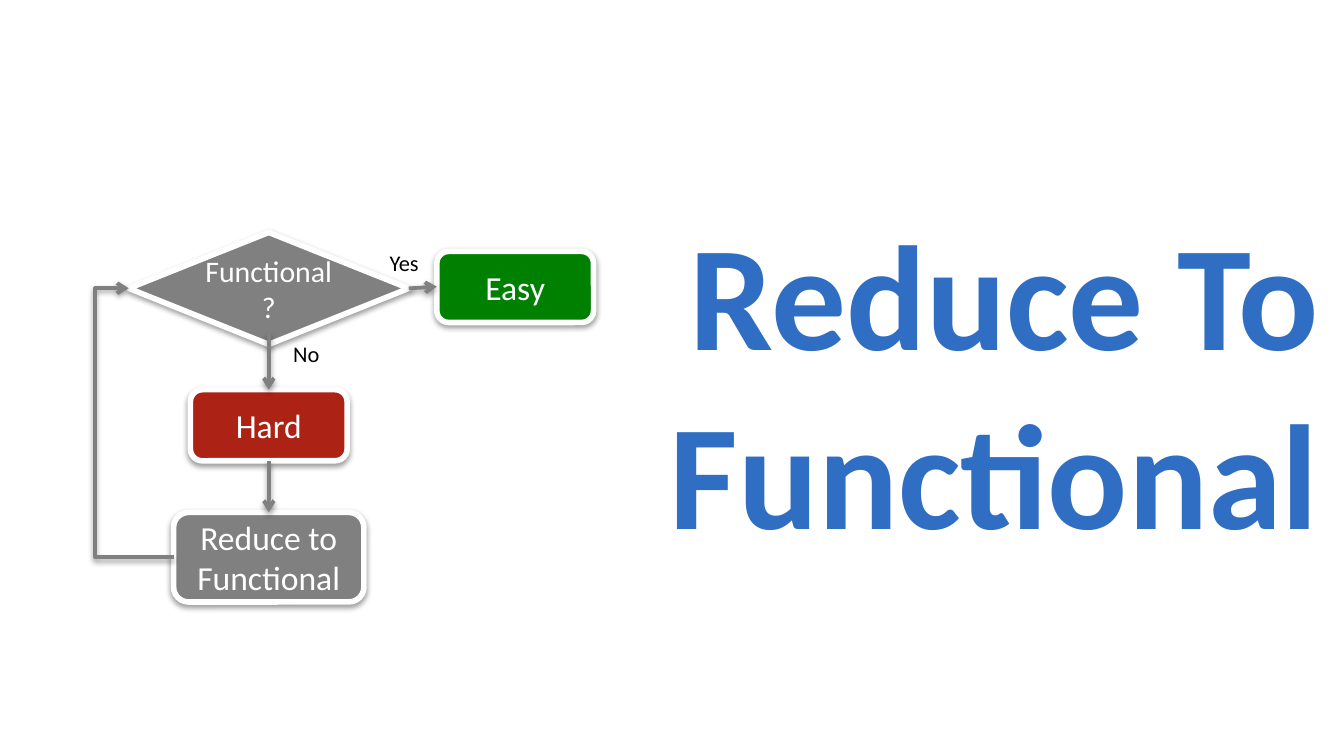
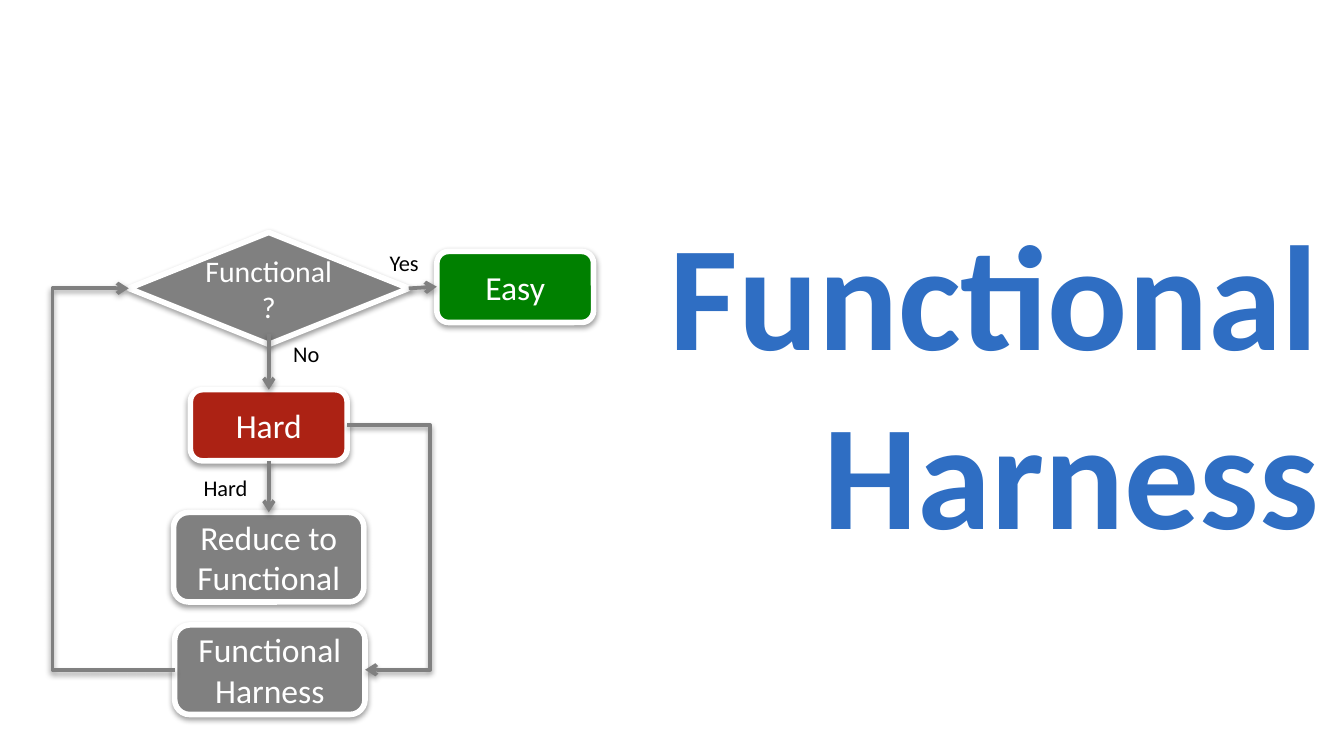
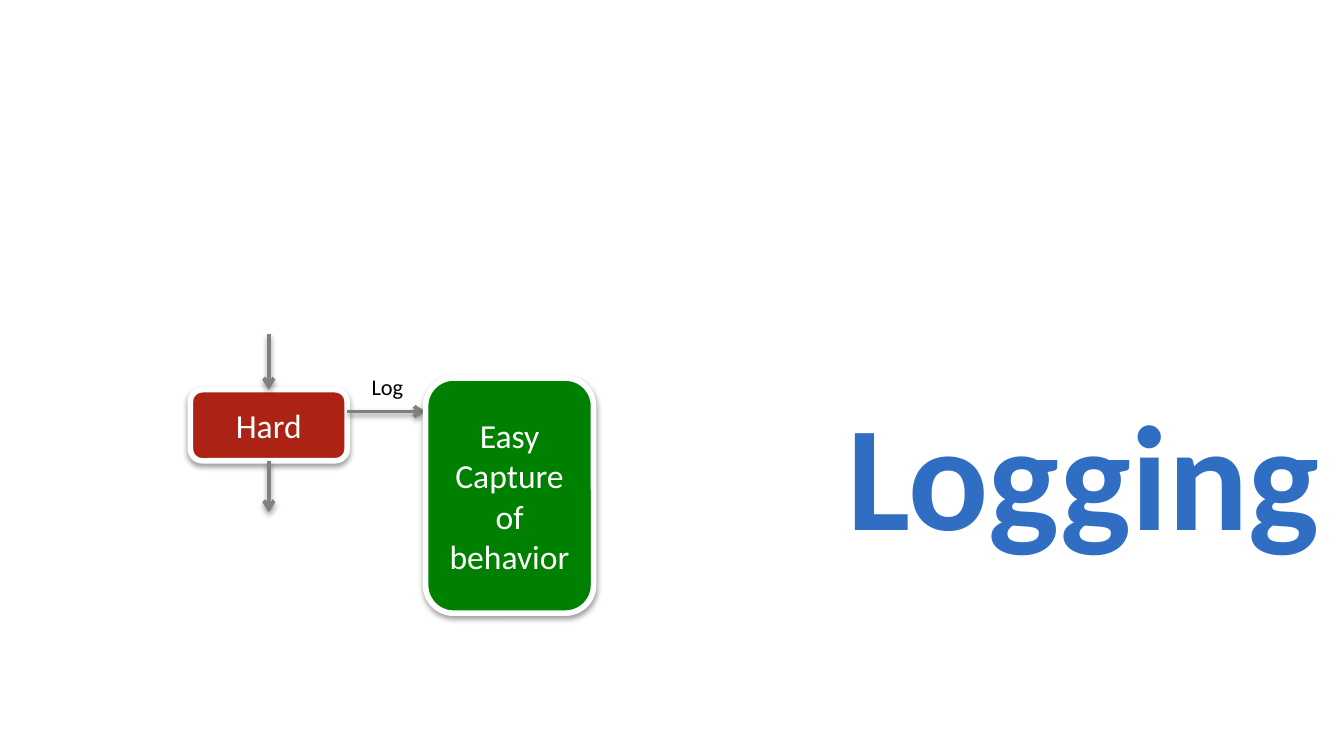
from dataclasses import dataclass

from lxml import etree
from pptx import Presentation
from pptx import util as u
from pptx.dml import color
from pptx.enum import shapes, text
from pptx.oxml import ns

COLUMNS, ROWS = 240, 135


@dataclass(frozen=True)
class Theme:
    font: str = "Calibri"
    title: str = "2F6EC3"
    neutral: str = "808080"
    easy: str = "008000"
    hard: str = "AC2214"
    light: str = "FFFFFF"
    dark: str = "000000"
    title_size: int = 80
    box_size: int = 18
    decision_size: int = 16
    label_size: int = 12
    outline: int = 3
    arrow: int = 2
    shadow_blur: float = 3.1
    shadow_distance: float = 1.6
    shadow_opacity: int = 38


def assign(target, **values):
    for name, value in values.items():
        setattr(target, name, value)


def add_element(parent, tag, **attributes):
    element = etree.SubElement(parent, ns.qn(tag))
    for name, value in attributes.items():
        element.set(name, str(value))
    return element


class Deck:
    def __init__(self, theme):
        self.theme = theme
        self.presentation = Presentation()
        assign(self.presentation, slide_width=u.Inches(10), slide_height=u.Inches(5.625))
        self.slide = None

    def column(self, count):
        return round(self.presentation.slide_width * count / COLUMNS)

    def row(self, count):
        return round(self.presentation.slide_height * count / ROWS)

    def place(self, left, top, width, height):
        return self.column(left), self.row(top), self.column(width), self.row(height)

    def add_slide(self, title, skipped_lines=0):
        self.slide = self.presentation.slides.add_slide(self.presentation.slide_layouts[6])
        shape = self.slide.shapes.add_textbox(*self.place(116, 20.2, 122, 95.3))
        line_height = u.Pt(self.theme.title_size * 1.22)
        assign(shape.text_frame, word_wrap=True,
               vertical_anchor=text.MSO_ANCHOR.MIDDLE,
               margin_top=u.Inches(0.05) + skipped_lines * line_height)
        self.set_words(shape, title, self.theme.title_size, self.theme.title,
                       text.PP_ALIGN.RIGHT, bold=True)

    def set_words(self, shape, words, size, tint, alignment, bold=False):
        shape.text_frame.text = words
        for paragraph in shape.text_frame.paragraphs:
            paragraph.alignment = alignment
            for run in paragraph.runs:
                assign(run.font, name=self.theme.font, size=u.Pt(size), bold=bold)
                run.font.color.rgb = color.RGBColor.from_string(tint)

    def outline(self, shape, tint, width):
        shape.line.color.rgb = color.RGBColor.from_string(tint)
        shape.line.width = u.Pt(width)

    def shade(self, shape):
        effects = add_element(shape.element.spPr, "a:effectLst")
        shadow = add_element(effects, "a:outerShdw",
                             blurRad=u.Pt(self.theme.shadow_blur),
                             dist=u.Pt(self.theme.shadow_distance),
                             dir=90 * 60000, rotWithShape=0)
        tint = add_element(shadow, "a:srgbClr", val=self.theme.dark)
        add_element(tint, "a:alpha", val=self.theme.shadow_opacity * 1000)

    def box(self, words, fill, left, top, width=28, height=12.7,
            kind=shapes.MSO_SHAPE.ROUNDED_RECTANGLE, size=None):
        shape = self.slide.shapes.add_shape(kind, *self.place(left, top, width, height))
        shape.fill.solid()
        shape.fill.fore_color.rgb = color.RGBColor.from_string(fill)
        self.outline(shape, self.theme.light, self.theme.outline)
        self.shade(shape)
        assign(shape.text_frame, word_wrap=True, vertical_anchor=text.MSO_ANCHOR.MIDDLE)
        self.set_words(shape, words, size or self.theme.box_size, self.theme.light,
                       text.PP_ALIGN.CENTER)
        return shape

    def decision(self, words, left, top, width, height):
        shape = self.box(words, self.theme.neutral, left, top, width, height,
                         shapes.MSO_SHAPE.DIAMOND, self.theme.decision_size)
        assign(shape.text_frame, margin_left=0, margin_top=0, margin_right=0, margin_bottom=0)

    def label(self, words, left, top, width):
        shape = self.slide.shapes.add_textbox(*self.place(left, top, width, 7.2))
        assign(shape.text_frame, word_wrap=False,
               auto_size=text.MSO_AUTO_SIZE.SHAPE_TO_FIT_TEXT)
        self.set_words(shape, words, self.theme.label_size, self.theme.dark,
                       text.PP_ALIGN.LEFT)

    def arrow(self, start, end, via=None):
        kind = shapes.MSO_CONNECTOR.STRAIGHT if via is None else shapes.MSO_CONNECTOR.ELBOW
        connector = self.slide.shapes.add_connector(
            kind, self.column(start[0]), self.row(start[1]),
            self.column(end[0]), self.row(end[1]))
        self.outline(connector, self.theme.neutral, self.theme.arrow)
        properties = connector.element.spPr
        add_element(properties.find(ns.qn("a:ln")), "a:tailEnd", type="arrow")
        if via is not None:
            bend = round((via - start[0]) / (end[0] - start[0]) * 100000)
            guides = properties.find(".//" + ns.qn("a:avLst"))
            add_element(guides, "a:gd", name="adj1", fmla=f"val {bend}")
        self.shade(connector)

    def hard_step(self):
        self.box("Hard", self.theme.hard, 34, 69.6)
        self.arrow((48, 59.6), (48, 69.6))
        self.arrow((48, 82.3), (48, 91.5))

    def functional_check(self):
        self.decision("Functional?", 23, 41.5, 50, 20)
        self.box("Easy", self.theme.easy, 78, 44.9)
        self.box("Reduce to\nFunctional", self.theme.neutral, 31, 91.5, 34, 16)
        self.hard_step()
        self.arrow((73, 51.5), (78, 51.2))
        self.label("Yes", 67.2, 43.4, 10.8)
        self.label("No", 50, 59.6, 9.6)


def main():
    theme = Theme()
    deck = Deck(theme)
    check_entry = (23, 51.5)

    deck.add_slide("Reduce To Functional")
    deck.functional_check()
    deck.arrow((31, 99.5), check_entry, via=17)

    deck.add_slide("Functional\vHarness")
    deck.functional_check()
    deck.label("Hard", 34, 83.5, 12.7)
    deck.box("Functional\nHarness", theme.neutral, 31.2, 111.6, 34, 16)
    deck.arrow((31.2, 119.6), check_entry, via=9.4)
    deck.arrow((62, 75.9), (65.2, 119.6), via=76.8)

    deck.add_slide("Logging", skipped_lines=1)
    deck.hard_step()
    deck.arrow((62, 73.5), (76, 73.5))
    deck.label("Log", 64, 65.5, 10.6)
    deck.box("Easy Capture of behavior", theme.easy, 76, 67.5, 30, 42)

    deck.presentation.save("out.pptx")


if __name__ == "__main__":
    main()
